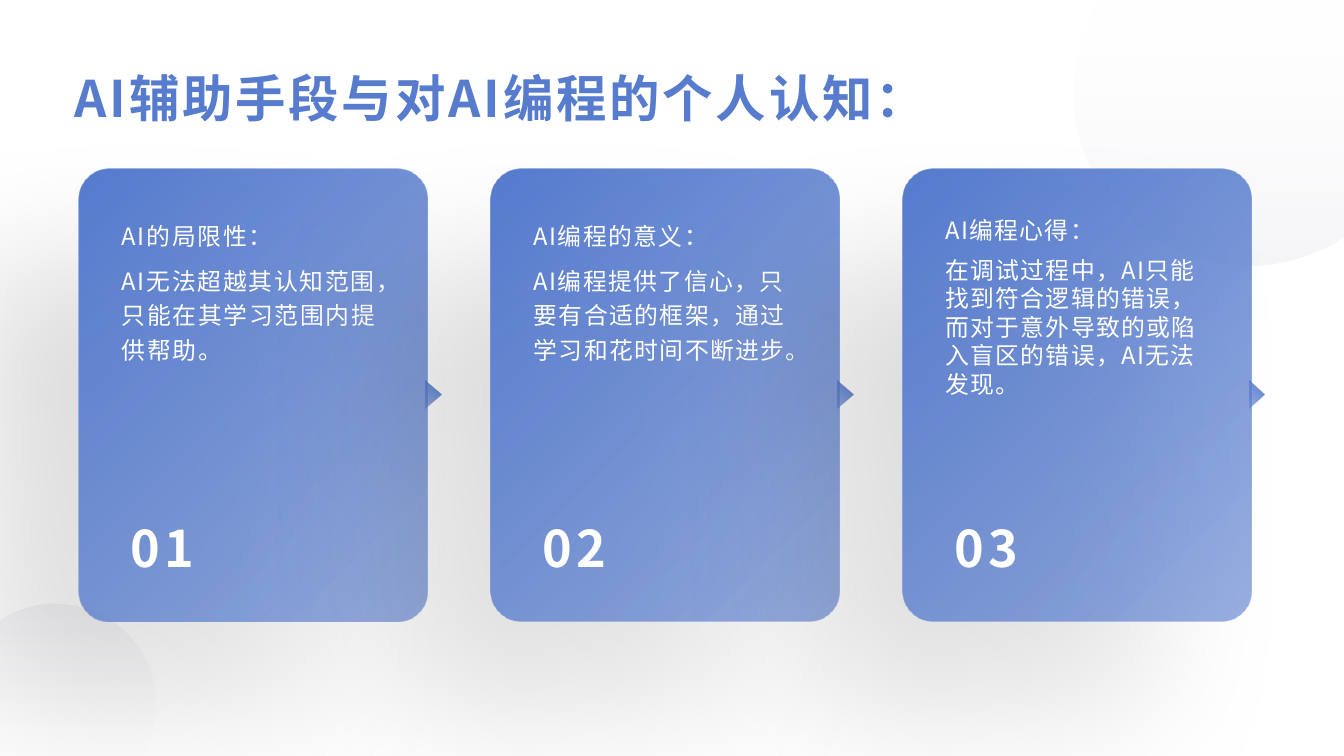
import math
from dataclasses import dataclass

import lxml.etree
import pptx
import pptx.dml.color
import pptx.enum.shapes
import pptx.enum.text
import pptx.oxml.ns
import pptx.util
from pptx.util import Inches

FONT = "Noto Sans CJK SC"
BLUE = "577CCE"
WHITE = "FFFFFF"
GREY = "D8D8E4"
CARD_TOP = 1.67
CARD_LEFT = 0.78
CARD_PITCH = (8.95 - CARD_LEFT) / 2
ARC_TURNS = (0, 34, 124, 156)
SHAPES = pptx.enum.shapes.MSO_SHAPE
ALIGN = pptx.enum.text.PP_ALIGN
ANCHOR = pptx.enum.text.MSO_ANCHOR


@dataclass(frozen=True)
class Stop:
    position: int
    color: str
    alpha: int = 100


@dataclass(frozen=True)
class Corner:
    center_x: float
    center_y: float
    radius: float
    start: int
    slide_corner: tuple[float, float]
    gradient_angle: int

    def point(self, angle: float, pull: float = 0) -> tuple[int, int]:
        cos, sin = math.cos(angle), math.sin(angle)
        return (
            Inches(self.center_x + self.radius * (cos - pull * sin)),
            Inches(self.center_y + self.radius * (sin + pull * cos)),
        )


@dataclass(frozen=True)
class Card:
    number: str
    heading: str
    body: str
    tracking: float
    line_spacing: float


@dataclass(frozen=True)
class TextStyle:
    size: int
    color: str
    tracking: float
    bold: bool = False


CARD_STOPS = (Stop(2, BLUE), Stop(100, BLUE, 60))
CORNER_STOPS = (Stop(0, WHITE, 10), Stop(100, GREY, 24))
CORNERS = (
    Corner(12.37, 0.91, 1.72, 56, (13.33, 0), 90),
    Corner(0.55, 6.98, 0.99, 236, (0, 7.5), 270),
)
CARDS = (
    Card("01", "AI的局限性：", "AI无法超越其认知范围，只能在其学习范围内提供帮助。", 1.2, 1.2),
    Card("02", "AI编程的意义：", "AI编程提供了信心，只要有合适的框架，通过学习和花时间不断进步。", 1, 1.2),
    Card(
        "03",
        "AI编程心得：",
        "在调试过程中，AI只能找到符合逻辑的错误，而对于意外导致的或陷入盲区的错误，AI无法发现。",
        0.9,
        1.0,
    ),
)


def rgb(color: str) -> pptx.dml.color.RGBColor:
    return pptx.dml.color.RGBColor.from_string(color)


def add_node(parent, tag: str, **values):
    node = lxml.etree.SubElement(parent, pptx.oxml.ns.qn(tag))
    for key, value in values.items():
        node.set(key, str(value))
    return node


def add_color(parent, color: str, alpha: int) -> None:
    add_node(add_node(parent, "a:srgbClr", val=color), "a:alpha", val=alpha * 1000)


def fill_gradient(shape, stops: tuple[Stop, ...], angle: int) -> None:
    shape.shadow.inherit = False
    shape.line.fill.background()
    shape.fill.gradient()
    gradient = shape._element.spPr.find(pptx.oxml.ns.qn("a:gradFill"))
    for child in list(gradient):
        gradient.remove(child)
    stop_list = add_node(gradient, "a:gsLst")
    for stop in stops:
        add_color(add_node(stop_list, "a:gs", pos=stop.position * 1000), stop.color, stop.alpha)
    add_node(gradient, "a:lin", ang=angle * 60000, scaled=0)


def cast_shadow(shape) -> None:
    effects = shape._element.spPr.find(pptx.oxml.ns.qn("a:effectLst"))
    shadow = add_node(
        effects,
        "a:outerShdw",
        blurRad=pptx.util.Pt(100),
        dist=pptx.util.Pt(96),
        dir=135 * 60000,
        algn="tr",
        rotWithShape=0,
    )
    add_color(shadow, "000000", 15)


def add_corner(slide, corner: Corner) -> None:
    angles = [math.radians(corner.start + turn) for turn in ARC_TURNS]
    controls = []
    for begin, end in zip(angles, angles[1:]):
        pull = 4 / 3 * math.tan((end - begin) / 4)
        controls += [corner.point(begin, pull), corner.point(end, -pull), corner.point(end)]
    outline = slide.shapes.build_freeform(*corner.point(angles[0]))
    outline.add_line_segments([*controls, tuple(map(Inches, corner.slide_corner))], close=True)
    shape = outline.convert_to_shape()
    segments = list(shape._element.iter(pptx.oxml.ns.qn("a:lnTo")))
    for first in range(0, len(controls), 3):
        curve = lxml.etree.Element(pptx.oxml.ns.qn("a:cubicBezTo"))
        segments[first].addprevious(curve)
        for segment in segments[first : first + 3]:
            curve.append(segment[0])
            segment.getparent().remove(segment)
    fill_gradient(shape, CORNER_STOPS, corner.gradient_angle)


def add_text(
    slide,
    box: tuple[float, float, float, float],
    lines: tuple[str, ...],
    style: TextStyle,
    frame_format: dict,
    paragraph_format: dict,
) -> None:
    frame = slide.shapes.add_textbox(*map(Inches, box)).text_frame
    for key, value in {"word_wrap": True, **frame_format}.items():
        setattr(frame, key, value)
    font_format = {"size": pptx.util.Pt(style.size), "bold": style.bold, "name": FONT}
    for index, line in enumerate(lines):
        paragraph = frame.add_paragraph() if index else frame.paragraphs[0]
        for key, value in paragraph_format.items():
            setattr(paragraph, key, value)
        run = paragraph.add_run()
        run.text = line
        for key, value in font_format.items():
            setattr(run.font, key, value)
        run.font.color.rgb = rgb(style.color)
        properties = run._r.get_or_add_rPr()
        properties.set("spc", str(round(style.tracking * 100)))
        add_node(properties, "a:ea", typeface=FONT)


def add_card(slide, card: Card, left: float) -> None:
    panel = slide.shapes.add_shape(
        SHAPES.ROUNDED_RECTANGLE, *map(Inches, (left, CARD_TOP, 3.46, 4.5))
    )
    panel.adjustments[0] = 0.09
    fill_gradient(panel, CARD_STOPS, 45)
    cast_shadow(panel)
    pointer = slide.shapes.add_shape(
        SHAPES.ISOSCELES_TRIANGLE, *map(Inches, (left + 3.38, 3.84, 0.28, 0.15))
    )
    pointer.rotation = 90
    fill_gradient(pointer, CARD_STOPS, 45)
    add_text(
        slide,
        (left + 0.33, 2.09, 2.92, 2.86),
        (card.heading, card.body),
        TextStyle(17, WHITE, card.tracking),
        {},
        {"line_spacing": card.line_spacing, "space_after": pptx.util.Pt(8)},
    )
    margins = dict.fromkeys(("margin_left", "margin_top", "margin_right", "margin_bottom"), 0)
    add_text(
        slide,
        (left + 0.34, 4.97, 0.98, 0.91),
        (card.number,),
        TextStyle(36, WHITE, 3, True),
        {"vertical_anchor": ANCHOR.MIDDLE, **margins},
        {"alignment": ALIGN.CENTER},
    )


def main() -> None:
    presentation = pptx.Presentation()
    presentation.slide_width = Inches(13.33)
    presentation.slide_height = Inches(7.5)
    slide = presentation.slides.add_slide(presentation.slide_layouts[6])
    for corner in CORNERS:
        add_corner(slide, corner)
    side, edge = Inches(0.07), Inches(0.03)
    title_format = {"vertical_anchor": ANCHOR.MIDDLE, "margin_left": side, "margin_right": side}
    title_format |= {"margin_top": edge, "margin_bottom": edge}
    title_style = TextStyle(36, BLUE, 2, True)
    title = ("AI辅助手段与对AI编程的个人认知：",)
    add_text(slide, (0.67, 0.67, 12, 0.67), title, title_style, title_format, {"line_spacing": 0.9})
    for index, card in enumerate(CARDS):
        add_card(slide, card, CARD_LEFT + index * CARD_PITCH)
    presentation.save("out.pptx")


if __name__ == "__main__":
    main()
